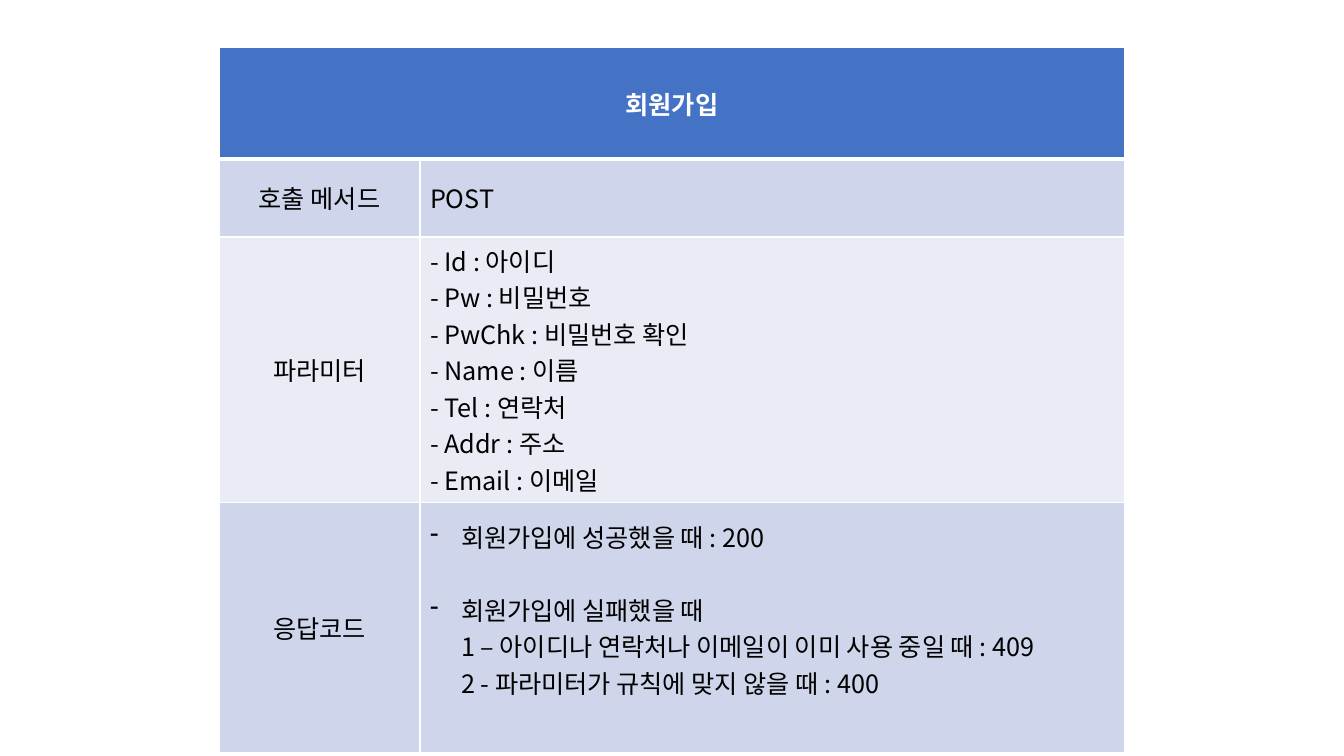
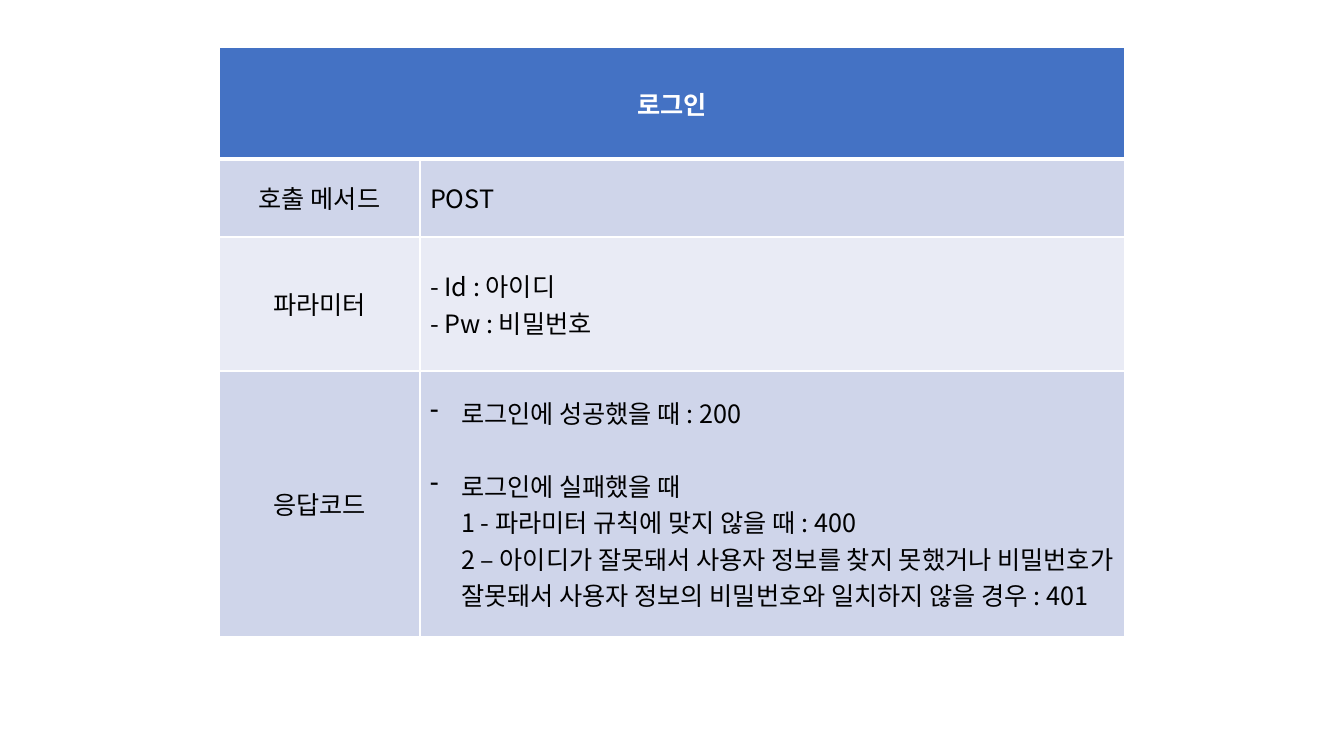
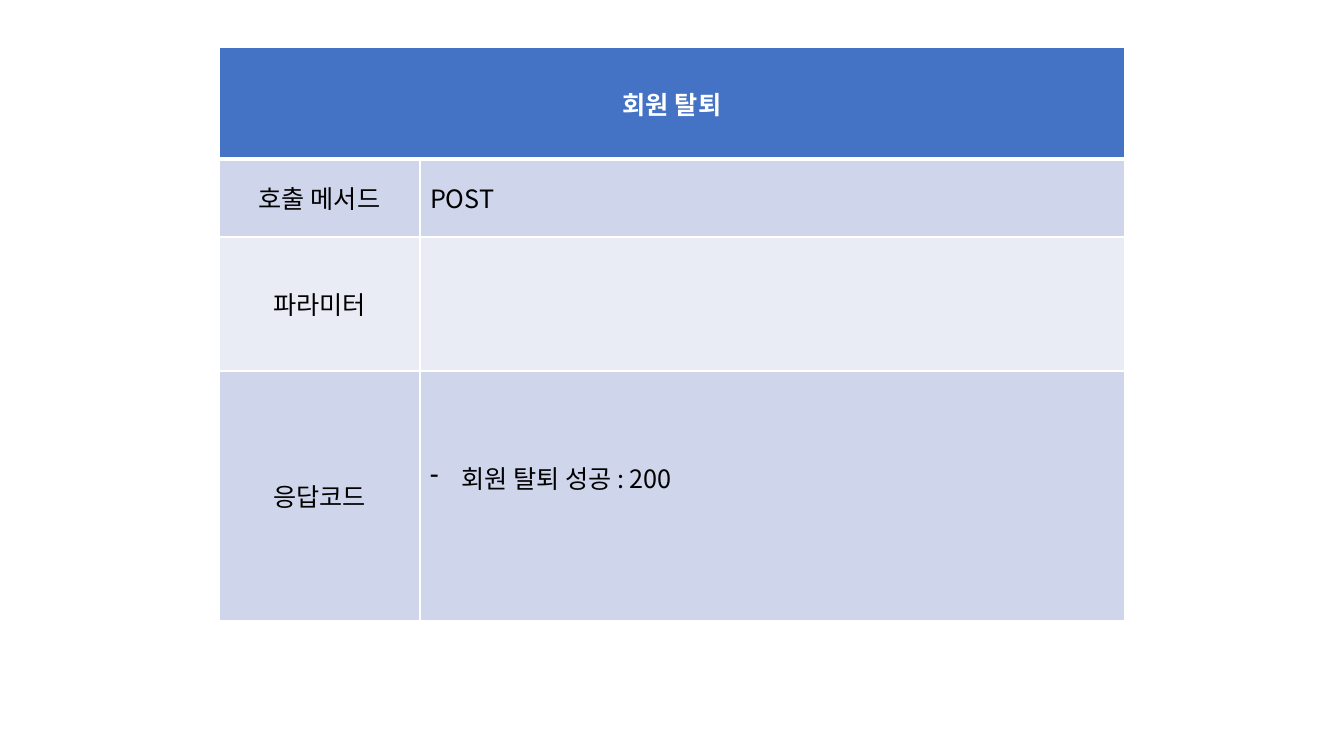
"""Build three slides, each with one table describing a member API call."""
from lxml import etree
from pptx import Presentation
from pptx.dml.color import RGBColor as RGB
from pptx.enum.text import MSO_ANCHOR as ANCHOR, PP_ALIGN as ALIGN
from pptx.oxml.ns import qn
from pptx.util import Pt

PX = 914400 / 100.8
FONT = "Noto Sans CJK KR"
C = {"header": "4472C4", "dark": "CFD5EA", "light": "E9EBF5", "white": "FFFFFF", "black": "000000"}
FILLS = [C["header"], C["dark"], C["light"], C["dark"]]
COLS = [201, 705]
ROWS = [112, 78, 134, 250]
LEFT, TOP, INDENT, PAD, LINE = 219, 47, 31, 5, 36

CALLS = [
    ("회원가입",
     ["- Id : 아이디", "- Pw : 비밀번호", "- PwChk : 비밀번호 확인", "- Name : 이름",
      "- Tel : 연락처", "- Addr : 주소", "- Email : 이메일"],
     ["회원가입에 성공했을 때 : 200",
      "회원가입에 실패했을 때\v1 – 아이디나 연락처나 이메일이 이미 사용 중일 때 : 409"
      "\v2 - 파라미터가 규칙에 맞지 않을 때 : 400"],
     PAD + LINE),
    ("로그인",
     ["- Id : 아이디", "- Pw : 비밀번호"],
     ["로그인에 성공했을 때 : 200",
      "로그인에 실패했을 때\v1 - 파라미터 규칙에 맞지 않을 때 : 400"
      "\v2 – 아이디가 잘못돼서 사용자 정보를 찾지 못했거나 "
      "비밀번호가 잘못돼서 사용자 정보의 비밀번호와 일치하지 않을 경우 : 401"],
     PAD),
    ("회원 탈퇴", [], ["회원 탈퇴 성공 : 200"], PAD + LINE),
]


def px(n):
    return round(n * PX)


def format_cell(cell, row, lines, centered, bulleted):
    """Fill, border and write one cell."""
    cell.fill.solid()
    cell.fill.fore_color.rgb = RGB.from_string(FILLS[row])
    cell.vertical_anchor = ANCHOR.MIDDLE
    widths = {"a:lnL": 1, "a:lnR": 1, "a:lnT": 3 if row == 1 else 1, "a:lnB": 3 if row == 0 else 1}
    for i, (tag, width) in enumerate(widths.items()):
        ln = etree.Element(qn(tag), w=str(Pt(width)))
        fill = etree.SubElement(ln, qn("a:solidFill"))
        etree.SubElement(fill, qn("a:srgbClr"), val=C["white"])
        cell._tc.get_or_add_tcPr().insert(i, ln)
    tf = cell.text_frame
    for i, line in enumerate(lines):
        p = tf.paragraphs[0] if i == 0 else tf.add_paragraph()
        p.text = line
        p.alignment = ALIGN.CENTER if centered else ALIGN.LEFT
        p.font.size, p.font.name, p.font.bold = Pt(18), FONT, row == 0
        p.font.color.rgb = RGB.from_string(C["white" if row == 0 else "black"])
        pPr = p._p.get_or_add_pPr()
        defaults = pPr.find(qn("a:defRPr"))
        etree.SubElement(defaults, qn("a:ea"), typeface=FONT)
        if bulleted:
            p.space_before = Pt(26 if i else 0)
            pPr.set("marL", str(px(INDENT)))
            pPr.set("indent", str(-px(INDENT)))
            defaults.addprevious(etree.Element(qn("a:buChar"), char="-"))


prs = Presentation()
prs.slide_width, prs.slide_height = px(1344), px(756)

for title, params, responses, bottom in CALLS:
    s = prs.slides.add_slide(prs.slide_layouts[6])
    table = s.shapes.add_table(len(ROWS), len(COLS), px(LEFT), px(TOP), px(sum(COLS)), px(sum(ROWS))).table
    for column, width in zip(table.columns, COLS):
        column.width = px(width)
    for row, height in zip(table.rows, ROWS):
        row.height = px(height)
    table.cell(0, 0).merge(table.cell(0, 1))
    content = [([title], []), (["호출 메서드"], ["POST"]), (["파라미터"], params), (["응답코드"], responses)]
    for r, pair in enumerate(content):
        for c, lines in enumerate(pair):
            format_cell(table.cell(r, c), r, lines, c == 0, (r, c) == (3, 1))
    table.cell(3, 1).margin_bottom = px(bottom)

prs.save("out.pptx")
